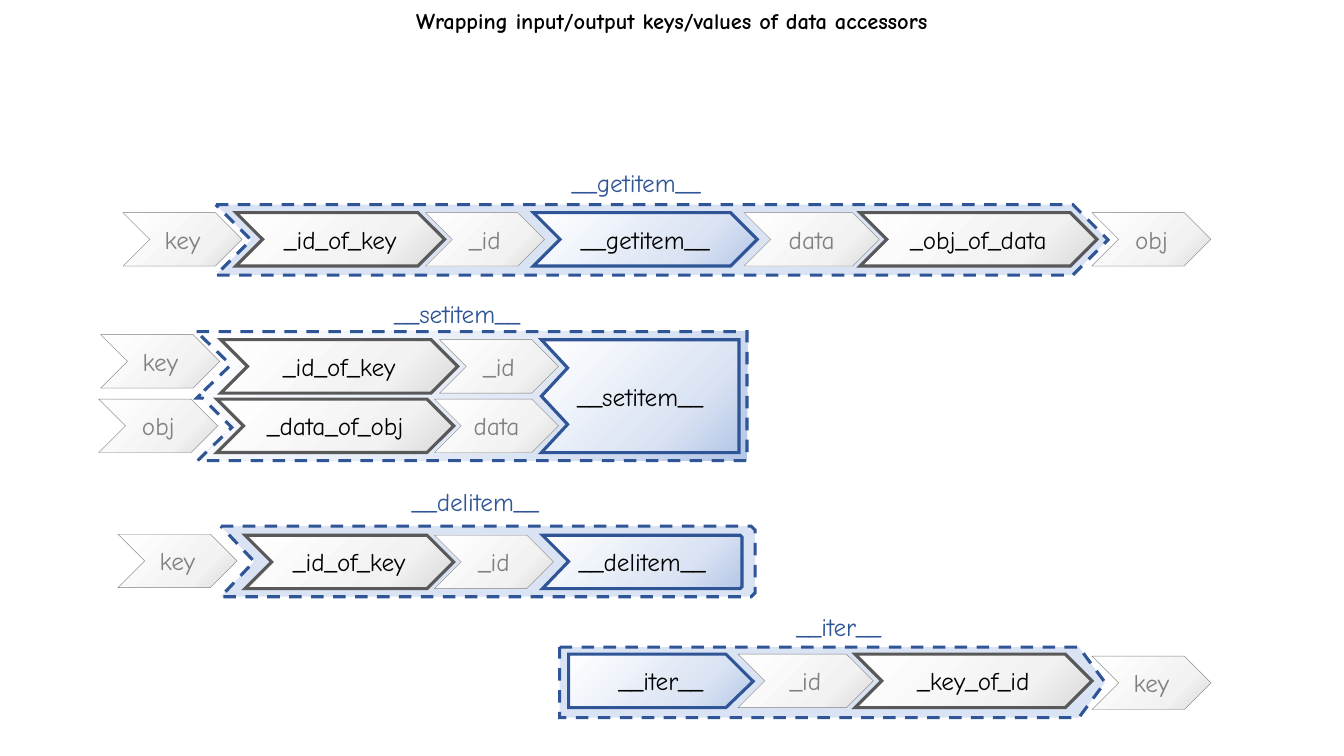
"""Build the slide on wrapping keys and values of data accessors."""
from copy import deepcopy
from pptx import Presentation
from pptx import util as u
from pptx.dml.color import RGBColor
from pptx.enum import dml, shapes, text
from pptx.oxml import ns, parse_xml

FONT = "Comic Neue"
BLACK = RGBColor(0x00, 0x00, 0x00)
WHITE = RGBColor(0xFF, 0xFF, 0xFF)
GREY = RGBColor(0x80, 0x80, 0x80)
DARK_GREY = RGBColor(0x59, 0x59, 0x59)
SILVER = RGBColor(0xD9, 0xD9, 0xD9)
PALE_GREY = RGBColor(0xF2, 0xF2, 0xF2)
BLUE = RGBColor(0x2F, 0x55, 0x97)
SKY = RGBColor(0xB4, 0xC7, 0xE7)
PALE_BLUE = RGBColor(0xDA, 0xE3, 0xF3)

GREY_BLEND = (SILVER, PALE_GREY, WHITE)
BLUE_BLEND = (SKY, PALE_BLUE, WHITE)
STYLES = {
    "frame": {"fill": (PALE_BLUE,), "line": BLUE, "width": 2.25, "dash": True},
    "blend frame": {"fill": BLUE_BLEND, "line": BLUE, "width": 2.25, "dash": True},
    "method": {"fill": BLUE_BLEND, "line": BLUE, "width": 2.25, "text": BLACK},
    "wrapper": {"fill": GREY_BLEND, "line": DARK_GREY, "width": 2.25, "text": BLACK},
    "value": {"fill": GREY_BLEND, "line": GREY, "width": 0.25, "text": GREY},
}

prs = Presentation()
prs.slide_width, prs.slide_height = u.Inches(13.33), u.Inches(7.5)
slide = prs.slides.add_slide(prs.slide_layouts[6])


def write(frame, words, color, size=18, bold=False, wrap=False):
    frame.word_wrap = wrap
    paragraph = frame.paragraphs[0]
    paragraph.alignment = text.PP_ALIGN.CENTER
    run = paragraph.add_run()
    run.text = words
    run.font.color.rgb = color
    for name, value in {"name": FONT, "size": u.Pt(size), "bold": bold}.items():
        setattr(run.font, name, value)


def add_step(kind, outline, words=""):
    """Add a chevron from (left, top, width, height) or a polygon from points."""
    if isinstance(outline, tuple):
        step = slide.shapes.add_shape(shapes.MSO_SHAPE.CHEVRON, *map(u.Inches, outline))
    else:
        points = [(u.Inches(x), u.Inches(y)) for x, y in outline]
        builder = slide.shapes.build_freeform(*points[0], scale=1.0)
        builder.add_line_segments(points[1:], close=True)
        step = builder.convert_to_shape()
    style = STYLES[kind]
    step.shadow.inherit = False
    if len(style["fill"]) == 1:
        step.fill.solid()
        step.fill.fore_color.rgb = style["fill"][0]
    else:
        step.fill.gradient()
        step.fill.gradient_angle = 135
        stop_list = step._element.spPr.find(".//" + ns.qn("a:gsLst"))
        stop_list.append(deepcopy(stop_list[0]))
        for stop, color, position in zip(step.fill.gradient_stops, style["fill"], (0, 0.3, 1)):
            stop.color.rgb = color
            stop.position = position
    step.line.color.rgb = style["line"]
    step.line.width = u.Pt(style["width"])
    if style.get("dash"):
        step.line.dash_style = dml.MSO_LINE.DASH
    step._element.spPr.find(ns.qn("a:ln")).append(
        parse_xml(f'<a:miter {ns.nsdecls("a")} lim="800000"/>'))
    if words:
        step.text_frame.vertical_anchor = text.MSO_ANCHOR.MIDDLE
        write(step.text_frame, words, style["text"])


iter_frame = [(5.55, 6.42), (10.7, 6.42), (10.96, 6.77), (10.7, 7.12), (5.55, 7.12)]
delitem_frame = [(2.19, 5.22), (7.45, 5.22), (7.49, 5.26), (7.49, 5.88), (7.45, 5.92),
                 (2.19, 5.92), (2.52, 5.57)]
getitem_frame = (2.14, 2.03, 8.85, 0.7)
setitem_frame = [(1.95, 3.29), (7.41, 3.29), (7.41, 4.57), (1.96, 4.57), (2.3, 4.24),
                 (2.01, 3.95), (1.95, 3.95), (1.98, 3.92), (1.96, 3.9), (2, 3.9), (2.29, 3.62)]
for frame_outline in (iter_frame, delitem_frame, getitem_frame):
    add_step("frame", frame_outline)
add_step("blend frame", setitem_frame)

method_outlines = {
    "__delitem__": [(5.38, 5.31), (7.34, 5.31), (7.36, 5.33), (7.36, 5.82), (7.34, 5.84),
                    (5.38, 5.84), (5.64, 5.57)],
    "__iter__": [(5.64, 6.49), (7.2, 6.49), (7.47, 6.76), (7.2, 7.02), (5.64, 7.02)],
    "__setitem__": [(5.37, 3.37), (7.33, 3.37), (7.33, 4.49), (5.37, 4.49), (5.63, 4.21),
                    (5.37, 3.93), (5.63, 3.65)],
}
for method, method_outline in method_outlines.items():
    add_step("method", method_outline, method)

chevron_rows = {
    2.11: [("wrapper", 2.34, 2.07, "_id_of_key"), ("value", 1.22, 1.18, "key"),
           ("value", 4.22, 1.18, "_id"), ("method", 5.29, 2.22, "__getitem__"),
           ("wrapper", 8.53, 2.35, "_obj_of_data"), ("value", 7.38, 1.34, "data"),
           ("value", 10.83, 1.18, "obj")],
    3.32: [("value", 1, 1.18, "key")],
    3.37: [("wrapper", 2.19, 2.35, "_id_of_key"), ("value", 4.36, 1.18, "_id")],
    3.96: [("wrapper", 2.15, 2.35, "_data_of_obj"), ("value", 0.98, 1.18, "obj"),
           ("value", 4.31, 1.23, "data")],
    5.3: [("value", 1.17, 1.18, "key")],
    5.31: [("wrapper", 2.43, 2.07, "_id_of_key"), ("value", 4.31, 1.18, "_id")],
    6.49: [("wrapper", 8.48, 2.35, "_key_of_id"), ("value", 7.32, 1.34, "_id")],
    6.51: [("value", 10.83, 1.18, "key")],
}
for top, chevrons in chevron_rows.items():
    for kind, left, width, words in chevrons:
        add_step(kind, (left, top, width, 0.53), words)

accessor_labels = [
    ("__setitem__", 3.71, 2.91, 1.65),
    ("__getitem__", 5.47, 1.61, 1.68),
    ("__delitem__", 3.9, 4.78, 1.63),
    ("__iter__", 7.7, 6.02, 1.24),
]
for words, left, top, width in accessor_labels:
    label = slide.shapes.add_textbox(*map(u.Inches, (left, top, width, 0.4)))
    write(label.text_frame, words, BLUE)

title = slide.shapes.add_textbox(*map(u.Inches, (0, 0.02, 13.33, 0.37)))
write(title.text_frame, "Wrapping input/output keys/values of data accessors", BLACK,
      size=16, bold=True, wrap=True)

prs.save("out.pptx")
